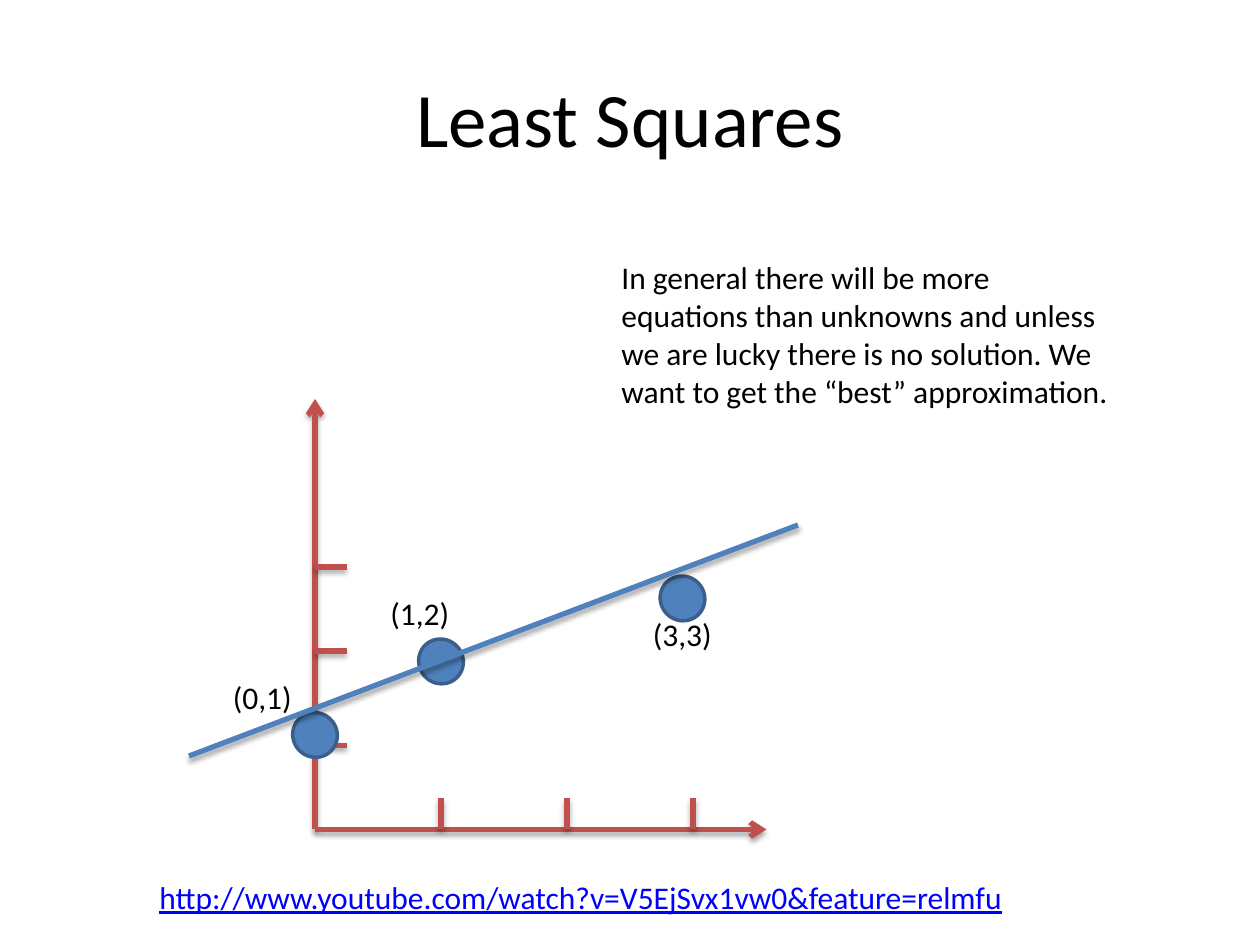
from lxml.etree import SubElement
from pptx import Presentation
from pptx.dml.color import RGBColor
from pptx.enum.shapes import MSO_CONNECTOR, MSO_SHAPE
from pptx.enum.text import MSO_ANCHOR, MSO_AUTO_SIZE, PP_ALIGN
from pptx.oxml import parse_xml
from pptx.oxml.ns import nsdecls, qn
from pptx.util import Inches, Pt

RED, BLUE, DARK_BLUE = "C0504D", "4F81BD", "3A5F8C"
BLACK, LINK_BLUE = "000000", "0000FF"
SHADOW = (
    f'<a:effectLst {nsdecls("a")}>'
    '<a:outerShdw blurRad="39370" dist="22860" dir="5400000" rotWithShape="0">'
    '<a:srgbClr val="000000"><a:alpha val="35000"/></a:srgbClr>'
    '</a:outerShdw></a:effectLst>'
)

presentation = Presentation()
presentation.slide_width = Inches(10)
presentation.slide_height = Inches(7.5)
slide = presentation.slides.add_slide(presentation.slide_layouts[5])

# All lengths below count cells of a square grid, 120 columns by 90 rows
cell = presentation.slide_width / 120


def format_text(text_frame, text, size, color):
    text_frame.text = text
    font = text_frame.paragraphs[0].runs[0].font
    font.name = "Calibri"
    font.size = Pt(size)
    font.color.rgb = RGBColor.from_string(color)
    return font


def add_line(start, end, color, arrow=False):
    """Draw a shadowed line between two (column, row) grid points."""
    line = slide.shapes.add_connector(
        MSO_CONNECTOR.STRAIGHT, *(int(value * cell) for value in (*start, *end)))
    line.line.color.rgb = RGBColor.from_string(color)
    line.line.width = Pt(3)
    if arrow:
        SubElement(line.line._get_or_add_ln(), qn("a:tailEnd"), type="arrow")
    line._element.spPr.append(parse_xml(SHADOW))


# Title
title = slide.shapes.title
title.left, title.top = int(6 * cell), int(3.6 * cell)
title.width, title.height = int(108 * cell), int(15 * cell)
format_text(title.text_frame, "Least Squares", 44, BLACK)
title.text_frame.vertical_anchor = MSO_ANCHOR.MIDDLE
title.text_frame.paragraphs[0].alignment = PP_ALIGN.CENTER

# Axes and ticks
origin_column, origin_row = origin = (30, 79)
tick_length = 3
add_line(origin, (origin_column, 38), RED, arrow=True)
add_line(origin, (73, origin_row), RED, arrow=True)
for column in (42, 54, 66):
    add_line((column, origin_row), (column, origin_row - tick_length), RED)
for row in (71, 62, 54):
    add_line((origin_column, row), (origin_column + tick_length, row), RED)

# Data points, given by their centres
point_width, point_height = 4.32, 4.2
for column, row in ((65, 57), (42, 63), (30, 70)):
    point = slide.shapes.add_shape(
        MSO_SHAPE.OVAL,
        int((column - point_width / 2) * cell), int((row - point_height / 2) * cell),
        int(point_width * cell), int(point_height * cell))
    point.rotation = 46.8
    point.shadow.inherit = False
    point.fill.solid()
    point.fill.fore_color.rgb = RGBColor.from_string(BLUE)
    point.line.color.rgb = RGBColor.from_string(DARK_BLUE)
    point.line.width = Pt(2)

# Fitted line
add_line((18, 72), (76, 50), BLUE)

# Explanation, point labels and address: text, column, row, width, height, colour
texts = (
    ("In general there will be more equations than unknowns and unless we are "
     "lucky there is no solution. We want to get the “best” approximation.",
     58, 24, 50, 15.7, BLACK),
    ("(0,1)", 21, 64, 10, 4.8, BLACK),
    ("(1,2)", 36, 56, 10, 4.8, BLACK),
    ("(3,3)", 61, 58, 10, 4.8, BLACK),
    ("http://www.youtube.com/watch?v=V5EjSvx1vw0&feature=relmfu",
     14, 83, 93, 4.8, LINK_BLUE),
)
for text, column, row, width, height, color in texts:
    text_box = slide.shapes.add_textbox(
        *(int(value * cell) for value in (column, row, width, height)))
    text_box.text_frame.word_wrap = True
    text_box.text_frame.auto_size = MSO_AUTO_SIZE.SHAPE_TO_FIT_TEXT
    font = format_text(text_box.text_frame, text, 18, color)
    if color == LINK_BLUE:
        font.underline = True

presentation.save("out.pptx")
